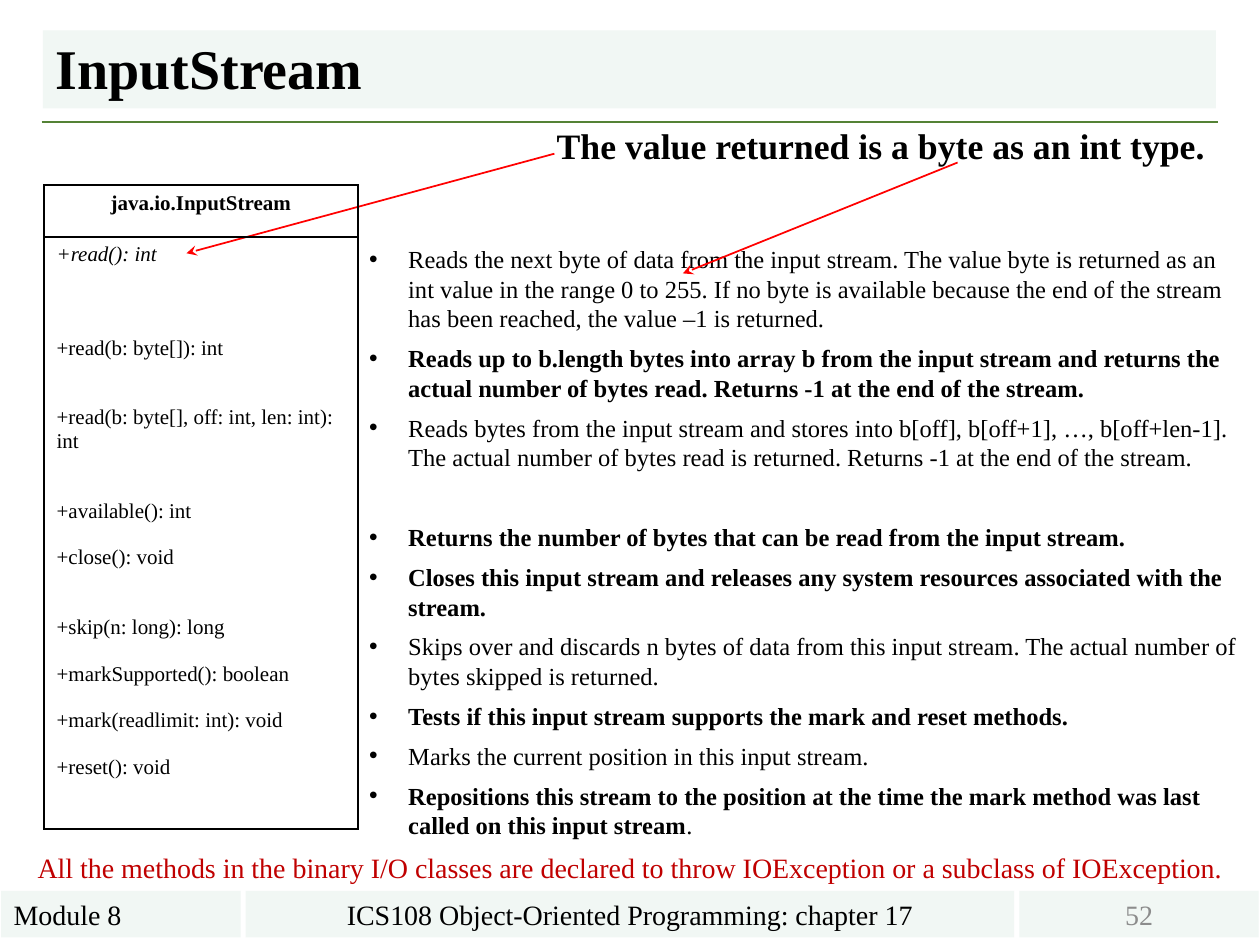
from lxml import etree
from pptx import Presentation
from pptx.dml.color import RGBColor
from pptx.enum import shapes, text
from pptx.oxml import ns
from pptx.util import Inches, Pt

COLORS = {"ink": "000000", "band": "F1F7F4", "rule": "548235",
          "arrow": "FF0000", "warning": "C00000", "number": "8C8C8C"}
FONT = "Times New Roman"
LEFT, CENTER = text.PP_ALIGN.LEFT, text.PP_ALIGN.CENTER
TABLE_LINE = 13.3  # points taken by one line of the class diagram

# (signature, blank lines above it)
METHODS = [("+read(): int", 0), ("+read(b: byte[]): int", 3),
           ("+read(b: byte[], off: int, len: int): int", 2),
           ("+available(): int", 2), ("+close(): void", 1),
           ("+skip(n: long): long", 2), ("+markSupported(): boolean", 1),
           ("+mark(readlimit: int): void", 1), ("+reset(): void", 1)]

# (description, bold, space before in points)
DESCRIPTIONS = [
    ("Reads the next byte of data from the input stream. The value byte is returned as an "
     "int value in the range 0 to 255. If no byte is available because the end of the stream "
     "has been reached, the value –1 is returned.", False, 6),
    ("Reads up to b.length bytes into array b from the input stream and returns the actual "
     "number of bytes read. Returns -1 at the end of the stream.", True, 6),
    ("Reads bytes from the input stream and stores into b[off], b[off+1], …, b[off+len-1]. "
     "The actual number of bytes read is returned. Returns -1 at the end of the stream.",
     False, 6),
    ("Returns the number of bytes that can be read from the input stream.", True, 29),
    ("Closes this input stream and releases any system resources associated with the stream.",
     True, 6),
    ("Skips over and discards n bytes of data from this input stream. The actual number of "
     "bytes skipped is returned.", False, 6),
    ("Tests if this input stream supports the mark and reset methods.", True, 6),
    ("Marks the current position in this input stream.", False, 6),
    ("Repositions this stream to the position at the time the mark method was last called on "
     "this input stream", True, 6),
]


def rgb(name):
    return RGBColor.from_string(COLORS[name])


def place(shape, box):
    shape.left, shape.top, shape.width, shape.height = (Inches(v) for v in box)


def fill_band(shape):
    shape.fill.solid()
    shape.fill.fore_color.rgb = rgb("band")


def format_paragraph(paragraph, size, color="ink", bold=False, align=LEFT, before=0, spacing=1.0):
    font = paragraph.font
    font.name, font.size, font.bold = FONT, Pt(size), bold
    font.color.rgb = rgb(color)
    paragraph.alignment = align
    paragraph.space_before = Pt(before)
    paragraph.line_spacing = spacing


def add_line(slide, start, end, color, width, arrow=False):
    line = slide.shapes.add_connector(shapes.MSO_CONNECTOR.STRAIGHT,
                                      *(Inches(v) for v in start + end))
    line.line.color.rgb = rgb(color)
    line.line.width = Pt(width)
    if arrow:
        etree.SubElement(line.line._get_or_add_ln(), ns.qn("a:tailEnd"), type="stealth")
    etree.SubElement(line._element.spPr, ns.qn("a:effectLst"))


def add_label(slide, box, wording, size, **style):
    label = slide.shapes.add_textbox(*(Inches(v) for v in box))
    label.text_frame.word_wrap = True
    label.text_frame.text = wording
    format_paragraph(label.text_frame.paragraphs[0], size, **style)


def add_heading(slide, box):
    title = slide.shapes.title
    place(title, box)
    fill_band(title)
    title.text_frame.text = "InputStream"
    title.text_frame.vertical_anchor = text.MSO_ANCHOR.BOTTOM
    format_paragraph(title.text_frame.paragraphs[0], 32, bold=True, spacing=0.9)
    left, top, width, height = box
    rule_y = top + height + 0.11
    add_line(slide, (left - 0.01, rule_y), (left + width + 0.02, rule_y), "rule", 1.5)


def add_descriptions(slide, box):
    body = slide.placeholders[1]
    place(body, box)
    frame = body.text_frame
    frame.auto_size = text.MSO_AUTO_SIZE.NONE
    for i, (wording, bold, before) in enumerate(DESCRIPTIONS):
        paragraph = frame.paragraphs[0] if i == 0 else frame.add_paragraph()
        paragraph.add_run().text = wording
        format_paragraph(paragraph, 14, bold=bold, before=before)
        properties = paragraph._p.get_or_add_pPr()
        properties.set("marL", str(Inches(0.31)))
        properties.set("indent", str(-Inches(0.31)))
    full_stop = paragraph.add_run()
    full_stop.text = "."
    full_stop.font.bold = False


def outline_cell(cell):
    cell.fill.background()
    properties = cell._tc.get_or_add_tcPr()
    for i, side in enumerate(("lnL", "lnR", "lnT", "lnB")):
        border = etree.Element(ns.qn(f"a:{side}"), w=str(Pt(1)))
        solid = etree.SubElement(border, ns.qn("a:solidFill"))
        etree.SubElement(solid, ns.qn("a:srgbClr"), val=COLORS["ink"])
        properties.insert(i, border)


def add_class_diagram(slide, box, header_height):
    table = slide.shapes.add_table(2, 1, *(Inches(v) for v in box)).table
    table.first_row = table.horz_banding = False
    table.rows[0].height = Inches(header_height)
    table.rows[1].height = Inches(box[3] - header_height)
    header, members = table.cell(0, 0), table.cell(1, 0)
    for cell in (header, members):
        outline_cell(cell)
    header.text_frame.text = "java.io.InputStream"
    format_paragraph(header.text_frame.paragraphs[0], 12, bold=True, align=CENTER)
    members.text_frame.text = "\n".join(signature for signature, _ in METHODS)
    for paragraph, (_, blanks) in zip(members.text_frame.paragraphs, METHODS):
        format_paragraph(paragraph, 12, before=blanks * TABLE_LINE)
    members.text_frame.paragraphs[0].font.italic = True


def add_callout(slide, box):
    add_label(slide, box, "The value returned is a byte as an int type.", 20.4,
              bold=True, before=12, spacing=0.9)
    left, top = box[:2]
    add_line(slide, (left + 0.08, top + 0.25), (1.48, 2.01), "arrow", 1, arrow=True)
    add_line(slide, (left + 3.28, top + 0.32), (5.42, 2.17), "arrow", 1, arrow=True)


def add_footer(slide, box):
    left, top, width, height = box
    side, gap = 1.9, 0.04
    middle = width - 2 * (side + gap)
    parts = [("Module 8", side, LEFT, "ink"),
             ("ICS108 Object-Oriented Programming: chapter 17", middle, CENTER, "ink"),
             ("52", side, CENTER, "number")]
    for wording, part_width, align, color in parts:
        band = slide.shapes.add_shape(shapes.MSO_SHAPE.RECTANGLE, Inches(left), Inches(top),
                                      Inches(part_width), Inches(height))
        band.shadow.inherit = False
        fill_band(band)
        band.line.fill.background()
        band.text_frame.text = wording
        format_paragraph(band.text_frame.paragraphs[0], 16, color, align=align)
        left += part_width + gap


def main():
    deck = Presentation()
    deck.slide_width, deck.slide_height = Inches(10), Inches(7.5)
    slide = deck.slides.add_slide(deck.slide_layouts[1])
    add_heading(slide, (0.34, 0.24, 9.31, 0.62))
    add_descriptions(slide, (2.83, 1.89, 7.16, 4.86))
    add_callout(slide, (4.32, 0.97, 5.34, 0.5))
    add_label(slide, (0.2, 6.7, 9.69, 0.37),
              "All the methods in the binary I/O classes are declared to throw IOException "
              "or a subclass of IOException.", 16, color="warning")
    add_class_diagram(slide, (0.35, 1.47, 2.49, 5.11), 0.41)
    add_footer(slide, (0.01, 7.07, 9.98, 0.37))
    deck.save("out.pptx")


if __name__ == "__main__":
    main()
